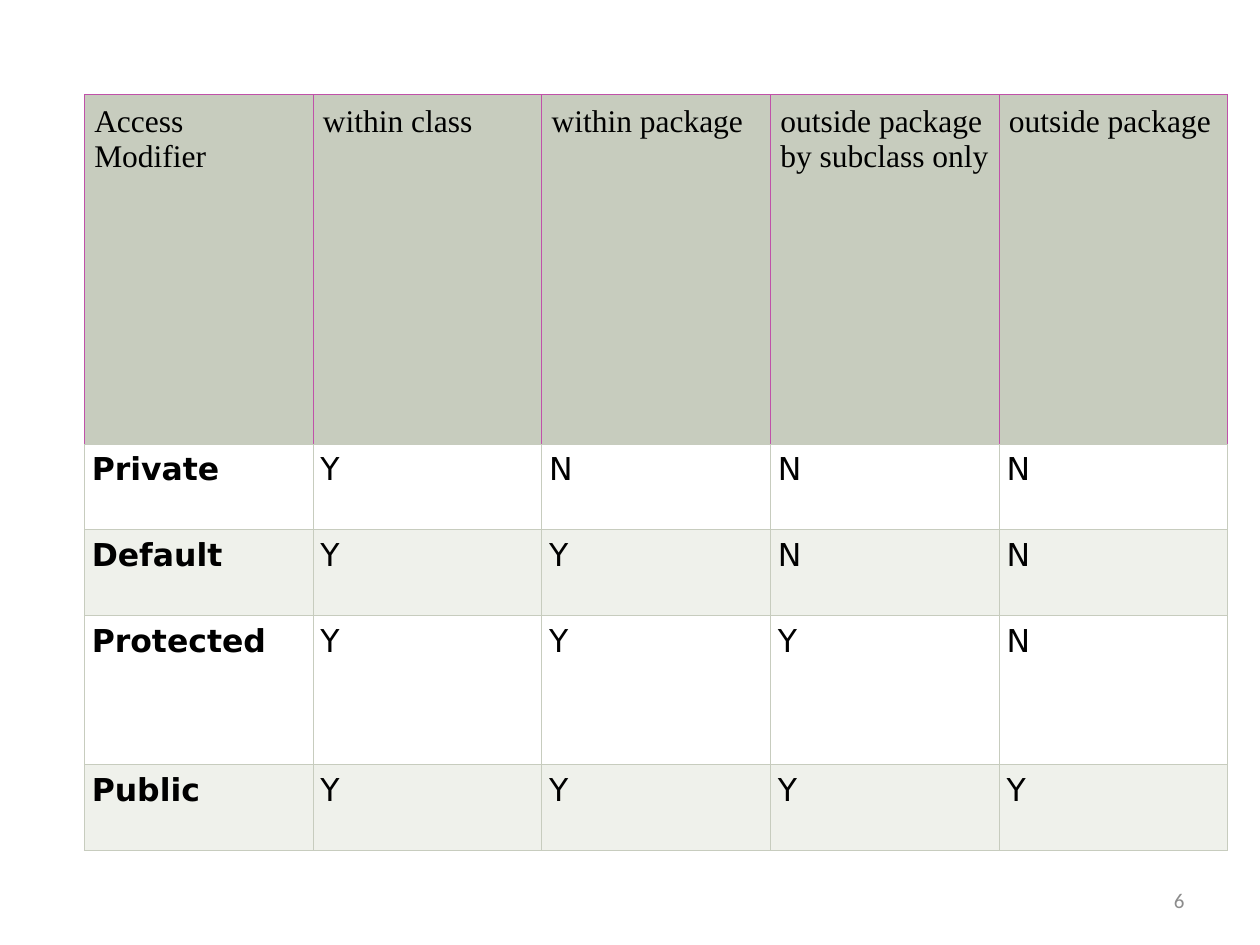
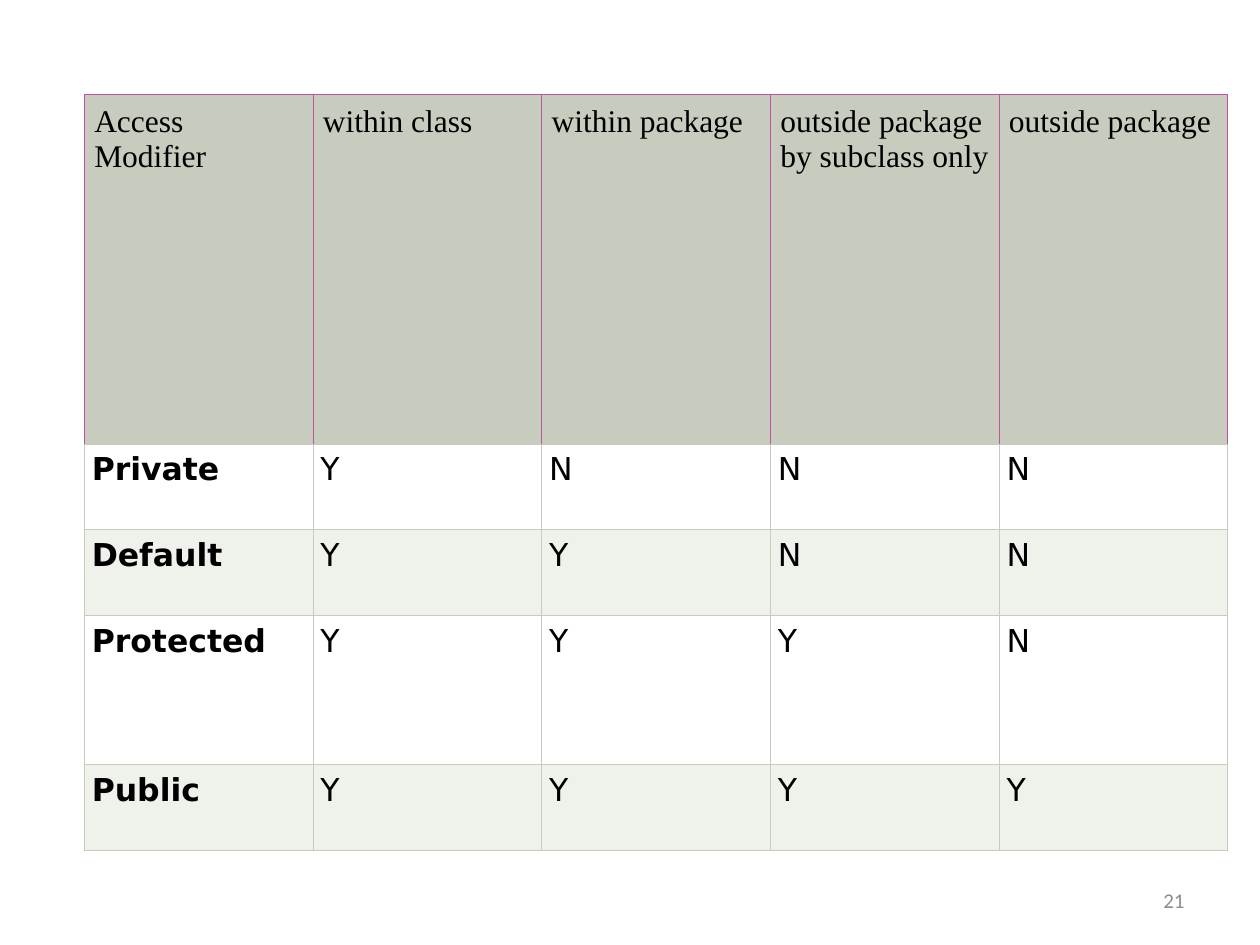
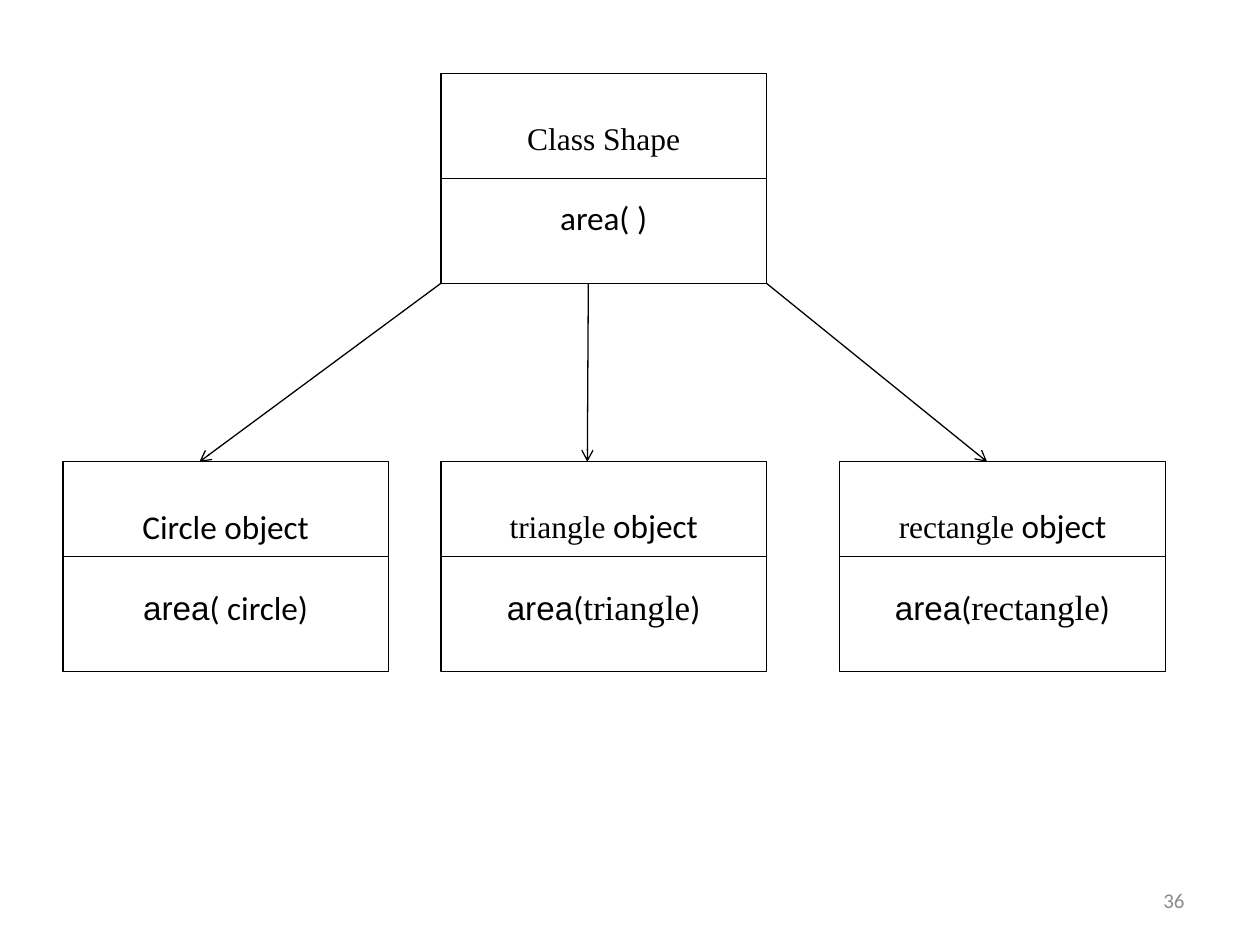
from dataclasses import dataclass

from lxml import etree
from pptx import Presentation
from pptx.dml.color import RGBColor
from pptx.enum.shapes import MSO_CONNECTOR, MSO_SHAPE
from pptx.enum.text import MSO_ANCHOR, PP_ALIGN
from pptx.oxml.ns import qn
from pptx.util import Cm, Pt

LEFT, CENTER, RIGHT = PP_ALIGN.LEFT, PP_ALIGN.CENTER, PP_ALIGN.RIGHT
MIDDLE = MSO_ANCHOR.MIDDLE
RECTANGLE = MSO_SHAPE.RECTANGLE
STRAIGHT = MSO_CONNECTOR.STRAIGHT


@dataclass(frozen=True)
class Theme:
    ink: str = "000000"
    muted: str = "8C8C8C"
    header_fill: str = "C7CCBE"
    header_edge: str = "C051A9"
    row_fills: tuple = ("FFFFFF", "EFF1EB")
    serif: tuple = ("Times New Roman", 18)
    large_serif: tuple = ("Times New Roman", 20)
    sans: tuple = ("Calibri", 19)
    code: tuple = ("Arial", 19)
    cell: tuple = ("DejaVu Sans", 18)
    footer: tuple = ("Calibri", 12)
    outline: float = 0.75
    cell_edge: float = 0.5
    line_gap: float = 23


THEME = Theme()

TABLE_PAGES = (6, 21)
DIAGRAM_PAGE = 36

HEADERS = ["Access Modifier", "within class", "within package",
           "outside package by subclass only", "outside package"]
ACCESS_ROWS = [
    ("Private", "Y", "N", "N", "N"),
    ("Default", "Y", "Y", "N", "N"),
    ("Protected", "Y", "Y", "Y", "N"),
    ("Public", "Y", "Y", "Y", "Y"),
]
ROW_HEIGHTS = [7.04, 1.73, 1.73, 3.0, 1.73]
COLUMN_WIDTH = 4.61
TABLE_LEFT, TABLE_TOP = 1.7, 1.91

BOX_WIDTH, BOX_HEIGHT = 6.56, 4.23
PARENT_LEFT, PARENT_TOP, PARENT_DIVIDER = 8.89, 1.48, 2.12
CHILD_TOP, CHILD_DIVIDER = 9.31, 1.91
PARENT = [[("Class Shape", THEME.serif)], [("area( )", THEME.sans)]]


def polygon_lines(name):
    return [[(name, THEME.serif), (" object", THEME.sans)],
            [("area", THEME.code), ("(", THEME.sans),
             (name, THEME.large_serif), (")", THEME.sans)]]


CHILDREN = [
    (1.27, [[("Circle object", THEME.sans)],
            [("area", THEME.code), ("( circle)", THEME.sans)]]),
    (PARENT_LEFT, polygon_lines("triangle")),
    (16.93, polygon_lines("rectangle")),
]
ARROWS = [
    (PARENT_LEFT, 4.02),
    (11.86, 11.84),
    (PARENT_LEFT + BOX_WIDTH, 19.9),
]


def write(frame, lines, align=LEFT, color=THEME.ink, bold=False, gap=0):
    for index, spans in enumerate(lines):
        para = frame.add_paragraph() if index else frame.paragraphs[0]
        para.alignment = align
        if index:
            para.space_before = Pt(gap)
        for text, (font, size) in spans:
            span = para.add_run()
            span.text = text
            span.font.name = font
            span.font.size = Pt(size)
            span.font.bold = bold
            span.font.color.rgb = RGBColor.from_string(color)


def add_page(deck, number):
    page = deck.slides.add_slide(deck.slide_layouts[6])
    box = page.shapes.add_textbox(Cm(18.2), Cm(17.65), Cm(5.93), Cm(1.01))
    box.text_frame.word_wrap = True
    box.text_frame.vertical_anchor = MIDDLE
    write(box.text_frame, [[(str(number), THEME.footer)]],
          align=RIGHT, color=THEME.muted)
    return page


def set_borders(cell, colors):
    properties = cell._tc.get_or_add_tcPr()
    for side, color in zip("LRTB", colors):
        edge = etree.SubElement(properties, qn(f"a:ln{side}"),
                                w=str(Pt(THEME.cell_edge)))
        fill = etree.SubElement(edge, qn("a:solidFill"))
        etree.SubElement(fill, qn("a:srgbClr"), val=color)


def fill_cell(cell, text, fill, edges, style, margin, bold=False):
    set_borders(cell, edges)
    cell.fill.solid()
    cell.fill.fore_color.rgb = RGBColor.from_string(fill)
    cell.margin_left = cell.margin_right = Cm(margin)
    cell.margin_top = cell.margin_bottom = Cm(margin)
    write(cell.text_frame, [[(text, style)]], bold=bold)


def add_access_table(page):
    table = page.shapes.add_table(
        len(ROW_HEIGHTS), len(HEADERS), Cm(TABLE_LEFT), Cm(TABLE_TOP),
        Cm(COLUMN_WIDTH * len(HEADERS)), Cm(sum(ROW_HEIGHTS))).table
    table.first_row = table.horz_banding = False
    for column in table.columns:
        column.width = Cm(COLUMN_WIDTH)
    for row, height in zip(table.rows, ROW_HEIGHTS):
        row.height = Cm(height)

    header_edges = [THEME.header_edge] * 3 + [THEME.header_fill]
    for column, text in enumerate(HEADERS):
        fill_cell(table.cell(0, column), text, THEME.header_fill,
                  header_edges, THEME.serif, 0.2)
    for row, values in enumerate(ACCESS_ROWS):
        for column, text in enumerate(values):
            fill_cell(table.cell(row + 1, column), text,
                      THEME.row_fills[row % 2], [THEME.header_fill] * 4,
                      THEME.cell, 0.15, bold=column == 0)


def add_line(page, start, end, arrow=False):
    line = page.shapes.add_connector(
        STRAIGHT, *(Cm(value) for value in (*start, *end)))
    line.line.color.rgb = RGBColor.from_string(THEME.ink)
    line.line.width = Pt(THEME.outline)
    if arrow:
        etree.SubElement(line.line._get_or_add_ln(), qn("a:tailEnd"),
                         type="arrow")
    etree.SubElement(line._element.spPr, qn("a:effectLst"))


def add_class_box(page, left, top, divider, lines):
    box = page.shapes.add_shape(RECTANGLE, Cm(left), Cm(top),
                                Cm(BOX_WIDTH), Cm(BOX_HEIGHT))
    box.shadow.inherit = False
    box.fill.background()
    box.line.color.rgb = RGBColor.from_string(THEME.ink)
    box.line.width = Pt(THEME.outline)
    box.text_frame.word_wrap = True
    box.text_frame.vertical_anchor = MIDDLE
    write(box.text_frame, lines, align=CENTER, gap=THEME.line_gap)
    add_line(page, (left, top + divider), (left + BOX_WIDTH, top + divider))


def add_class_diagram(page):
    add_class_box(page, PARENT_LEFT, PARENT_TOP, PARENT_DIVIDER, PARENT)
    for left, lines in CHILDREN:
        add_class_box(page, left, CHILD_TOP, CHILD_DIVIDER, lines)
    for start, end in ARROWS:
        add_line(page, (start, PARENT_TOP + BOX_HEIGHT), (end, CHILD_TOP),
                 arrow=True)


def main():
    deck = Presentation()
    deck.slide_width, deck.slide_height = Cm(25.4), Cm(19.05)
    for number in TABLE_PAGES:
        add_access_table(add_page(deck, number))
    add_class_diagram(add_page(deck, DIAGRAM_PAGE))
    deck.save("out.pptx")


if __name__ == "__main__":
    main()
